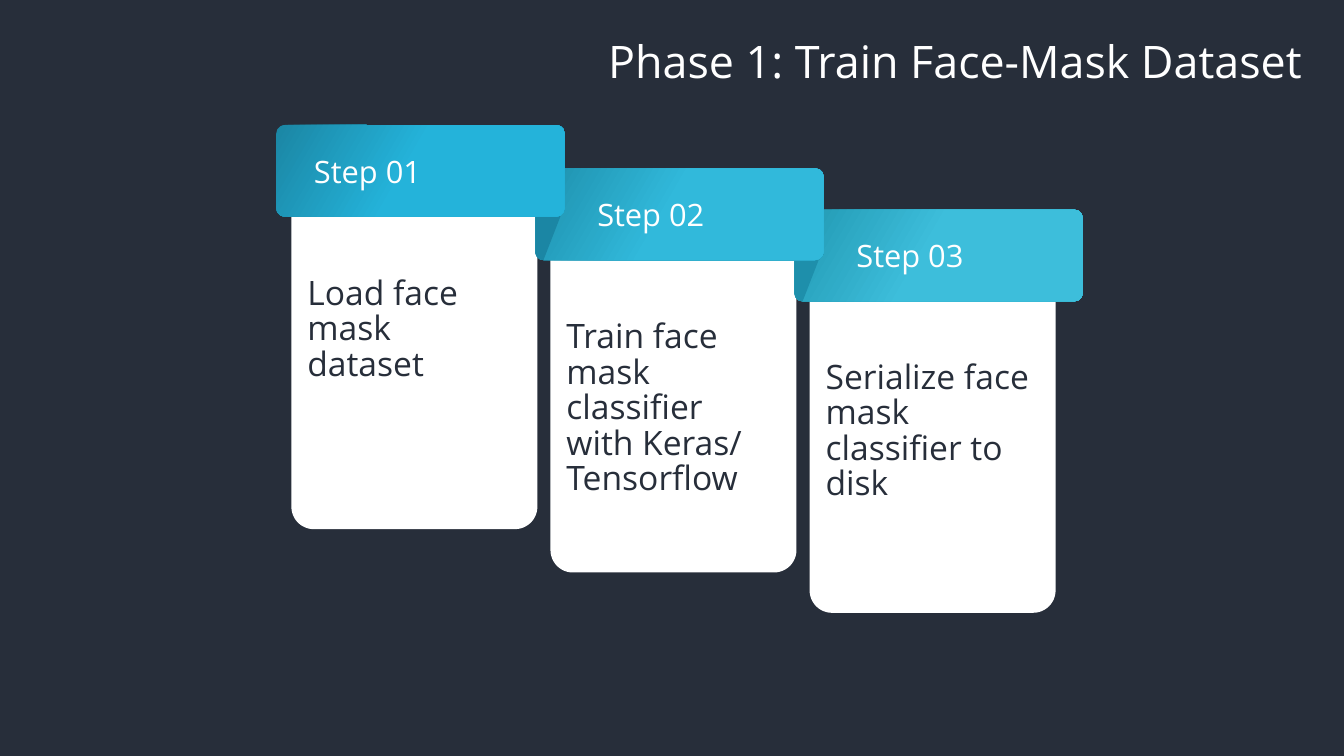
from math import cos, pi, sin

from pptx import Presentation
from pptx.dml.color import RGBColor
from pptx.enum.shapes import MSO_SHAPE
from pptx.enum.text import MSO_ANCHOR, MSO_AUTO_SIZE, PP_ALIGN
from pptx.util import Inches, Pt

FONT = "Open Sans"
NAVY = RGBColor(0x27, 0x2E, 0x3A)
WHITE = RGBColor(0xFF, 0xFF, 0xFF)
TEAL_1, SKY_1 = RGBColor(0x1B, 0x86, 0xA4), RGBColor(0x24, 0xB3, 0xDA)
TEAL_2, SKY_2 = RGBColor(0x1E, 0x8F, 0xAB), RGBColor(0x31, 0xB9, 0xDB)
TEAL_3, SKY_3 = RGBColor(0x21, 0x97, 0xB1), RGBColor(0x3D, 0xBE, 0xDB)

# label, label indent, header top, card top, dark colour, light colour, text
STEPS = [
    ("Step 01", 0.25, 1.24, 1.65, TEAL_1, SKY_1, "Load face mask dataset"),
    ("Step 02", 0.49, 1.67, 2.08, TEAL_2, SKY_2,
     "Train face mask classifier with Keras/ Tensorflow"),
    ("Step 03", 0.49, 2.08, 2.48, TEAL_3, SKY_3,
     "Serialize face mask classifier to disk"),
]
FIRST_LEFT, STEP_WIDTH = 2.74, 2.57
HEADER_WIDTH, HEADER_HEIGHT = 2.86, 0.91
FOLD_WIDTH, FOLD_HEIGHT, FOLD_RADIUS = 0.29, 0.69, 0.08


def write(shape, text, size, color):
    frame = shape.text_frame
    frame.word_wrap = True
    para = frame.paragraphs[0]
    para.text = text
    para.alignment = PP_ALIGN.LEFT
    para.font.name = FONT
    para.font.size = Pt(size)
    para.font.color.rgb = color
    return para


def add_rounded(left, top, width, height):
    shape = slide.shapes.add_shape(
        MSO_SHAPE.ROUNDED_RECTANGLE,
        Inches(left), Inches(top), Inches(width), Inches(height))
    shape.adjustments[0] = 0.091
    shape.shadow.inherit = False
    shape.line.fill.background()
    return shape


deck = Presentation()
deck.slide_width, deck.slide_height = Inches(13.33), Inches(7.5)
slide = deck.slides.add_slide(deck.slide_layouts[5])
slide.background.fill.solid()
slide.background.fill.fore_color.rgb = NAVY

title = slide.shapes.title
title.left, title.top = Inches(4.54), Inches(0.34)
title.width, title.height = Inches(8.48), Inches(0.89)
title.text_frame.vertical_anchor = MSO_ANCHOR.TOP
title.text_frame.auto_size = MSO_AUTO_SIZE.NONE
heading = write(title, "Phase 1: Train Face-Mask Dataset", 32, WHITE)
heading.alignment = PP_ALIGN.RIGHT
heading.line_spacing = 0.9

# White cards with their text
for index, (_, _, _, card_top, _, _, text) in enumerate(STEPS):
    left = FIRST_LEFT + index * STEP_WIDTH
    card = add_rounded(left + 0.15, card_top, 2.44, 3.6)
    card.fill.solid()
    card.fill.fore_color.rgb = WHITE
    box = slide.shapes.add_textbox(
        Inches(left + 0.21), Inches(card_top + 1.05), Inches(2.26), Inches(2.12))
    write(box, text, 24, NAVY).line_spacing = 0.88

# Headers from last to first, so that each one overlaps the next
for index in reversed(range(len(STEPS))):
    label, indent, top, _, dark, light, _ = STEPS[index]
    left = FIRST_LEFT + index * STEP_WIDTH
    header = add_rounded(left, top, HEADER_WIDTH, HEADER_HEIGHT)
    header.fill.gradient()
    header.fill.gradient_angle = 330
    for stop, position, color in zip(
            header.fill.gradient_stops, (0, 0.46), (dark, light)):
        stop.position = position
        stop.color.rgb = color
    frame = header.text_frame
    frame.vertical_anchor = MSO_ANCHOR.MIDDLE
    frame.margin_left = Inches(0.1 + indent)
    write(header, label, 22, WHITE)

    if index:
        bottom = top + HEADER_HEIGHT
        fold_top, right = bottom - FOLD_HEIGHT, left + FOLD_WIDTH
        angles = [pi / 2 * part / 6 for part in range(7)]
        lower_corner = [(left + FOLD_RADIUS * (1 - sin(angle)),
                         bottom - FOLD_RADIUS * (1 - cos(angle)))
                        for angle in angles]
        upper_corner = [(right - FOLD_RADIUS * (1 - sin(angle)),
                         fold_top + FOLD_RADIUS * (1 - cos(angle)))
                        for angle in angles]
        outline = lower_corner + [(left, fold_top)] + upper_corner + [
            (right, fold_top + 0.15)]
        points = [(Inches(x), Inches(y)) for x, y in outline]
        builder = slide.shapes.build_freeform(*points[0])
        builder.add_line_segments(points[1:], close=True)
        fold = builder.convert_to_shape()
        fold.shadow.inherit = False
        fold.line.fill.background()
        fold.fill.solid()
        fold.fill.fore_color.rgb = STEPS[index - 1][4]

deck.save("out.pptx")
